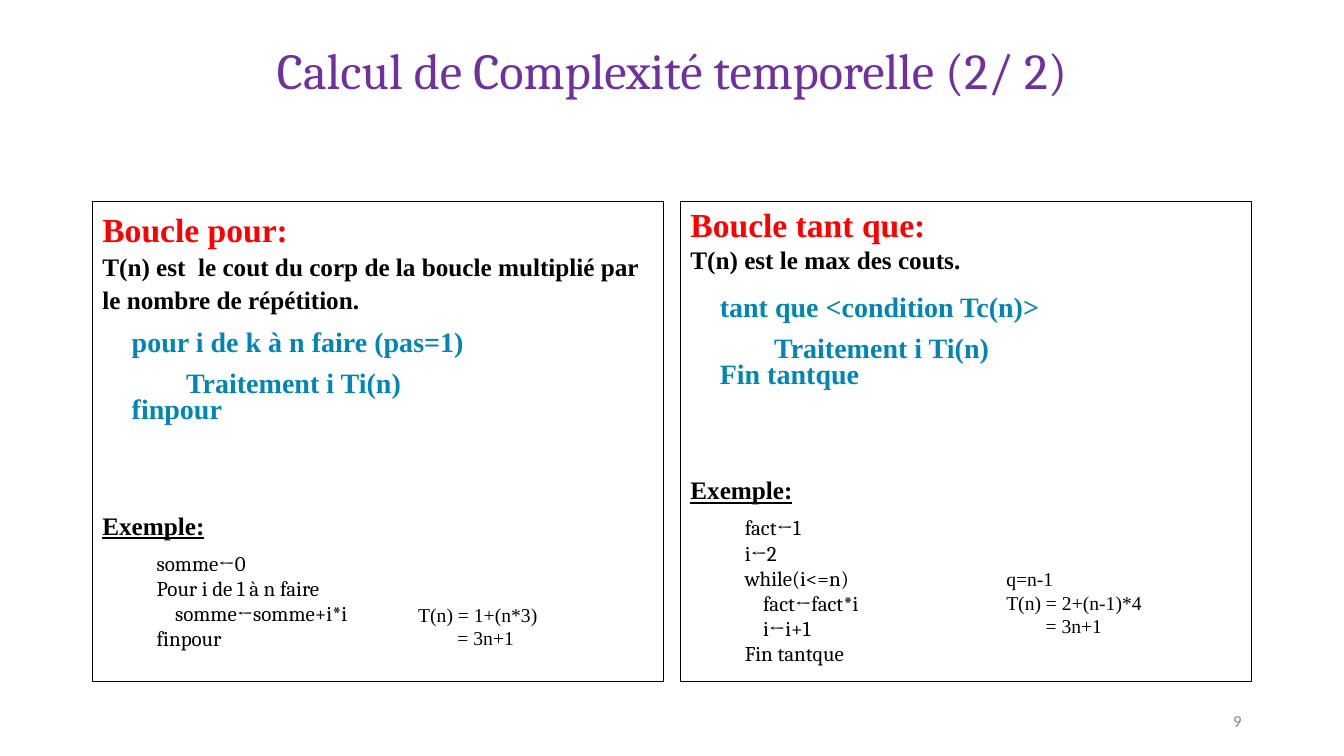
import pptx
import pptx.util
import pptx.dml.color
import pptx.enum.text
import pptx.enum.shapes

Cm = pptx.util.Cm
Pt = pptx.util.Pt
Align = pptx.enum.text.PP_ALIGN
Anchor = pptx.enum.text.MSO_ANCHOR
SERIF = "Times New Roman"

HEAD = dict(name=SERIF, size=Pt(24), bold=True, color="FF0000")
RULE = dict(name=SERIF, size=Pt(18), bold=True, color="000000")
LOOP = dict(name=SERIF, size=Pt(20), bold=True, color="0086B5")
LABEL = dict(RULE, underline=True)
CODE = dict(name="Cambria", size=Pt(15), color="000000")
COST = dict(name=SERIF, size=Pt(14), color="000000")
TITLE = dict(name="Cambria", size=Pt(36), color="7030A0")
PAGE = dict(name="Calibri", size=Pt(12), color="888888")


def rgb(code):
    """Turn a hex string into a colour."""
    return pptx.dml.color.RGBColor.from_string(code)


def style(font, look):
    """Apply a dict of format values to a font."""
    for key, value in look.items():
        if key == "color":
            font.color.rgb = rgb(value)
        else:
            setattr(font, key, value)


def write(frame, lines, align=Align.LEFT, anchor=Anchor.TOP):
    """Fill a frame with (text, look) lines, one paragraph each."""
    frame.word_wrap = True
    frame.vertical_anchor = anchor
    for i, (text, look) in enumerate(lines):
        para = frame.add_paragraph() if i else frame.paragraphs[0]
        para.alignment = align
        run = para.add_run()
        run.text = text
        style(run.font, look)
    return frame.paragraphs


def label(slide, box, lines, **place):
    """Add a text box at (left, top, width, height) in cm."""
    shape = slide.shapes.add_textbox(*map(Cm, box))
    return write(shape.text_frame, lines, **place)


def head(slide, box, text):
    """Place and format the title."""
    title = slide.shapes.title
    title.left, title.top, title.width, title.height = map(Cm, box)
    title.text_frame.auto_size = pptx.enum.text.MSO_AUTO_SIZE.NONE
    write(title.text_frame, [(text, TITLE)], Align.CENTER)


def panel(slide, box, part):
    """Draw one framed loop panel, its lower parts moved by its shift."""
    left, top = box[:2]
    frame = slide.shapes.add_shape(pptx.enum.shapes.MSO_SHAPE.RECTANGLE, *map(Cm, box))
    frame.shadow.inherit = False
    frame.fill.background()
    frame.line.color.rgb = rgb("000000")
    frame.line.width = Pt(0.75)
    intro = [(part["name"], HEAD), (part["rule"], RULE)]
    for para in write(frame.text_frame, intro):
        para.line_spacing = part["space"]

    base = top + part["shift"]
    for (x, y), text in zip([(0.74, 2.97), (2.11, 4.01), (0.74, 4.67)], part["loop"]):
        label(slide, (left + x, base + y, 9.1, 1.12), [(text, LOOP)])
    label(slide, (left, base + 7.65, 7.24, 1.02), [("Exemple:", LABEL)])
    code = [(text, CODE) for text in part["code"]]
    label(slide, (left + 1.37, base + 8.66, 7.24, 0.64 * len(code) + 0.25), code)
    cost = [(text, COST) for text in part["cost"]]
    paras = label(slide, (left + 7.96, base + 9.98, 4.95, 0.6 * len(cost) + 0.25), cost)
    paras[-1]._p.get_or_add_pPr().set("marL", str(Cm(0.99)))


def main():
    """Build and save the slide."""
    deck = pptx.Presentation()
    deck.slide_width, deck.slide_height = Cm(33.87), Cm(19.05)
    slide = deck.slides.add_slide(deck.slide_layouts[5])
    head(slide, (0, 0.86, 33.87, 1.8), "Calcul de Complexité temporelle (2/ 2)")
    parts = [
        dict(
            name="Boucle pour:",
            rule="T(n) est  le cout du corp de la boucle multiplié par le nombre de répétition.",
            space=1.07,
            shift=0,
            loop=["pour i de k à n faire (pas=1)", "Traitement i Ti(n)", "finpour"],
            code=["somme←0", "Pour i de 1 à n faire", "    somme←somme+i*i", "finpour"],
            cost=["T(n) = 1+(n*3)", "= 3n+1"],
        ),
        dict(
            name="Boucle tant que:",
            rule="T(n) est le max des couts.",
            space=0.97,
            shift=-0.89,
            loop=["tant que <condition Tc(n)>", "Traitement i Ti(n)", "Fin tantque"],
            code=["fact←1", "i←2", "while(i<=n)", "    fact←fact*i", "    i←i+1", "Fin tantque"],
            cost=["q=n-1", "T(n) = 2+(n-1)*4", "= 3n+1"],
        ),
    ]
    for i, part in enumerate(parts):
        panel(slide, (2.33 + 14.82 * i, 5.08, 14.4, 12.09), part)
    label(slide, (23.92, 17.66, 7.62, 1.01), [("9", PAGE)], align=Align.RIGHT, anchor=Anchor.MIDDLE)
    deck.save("out.pptx")


if __name__ == "__main__":
    main()
